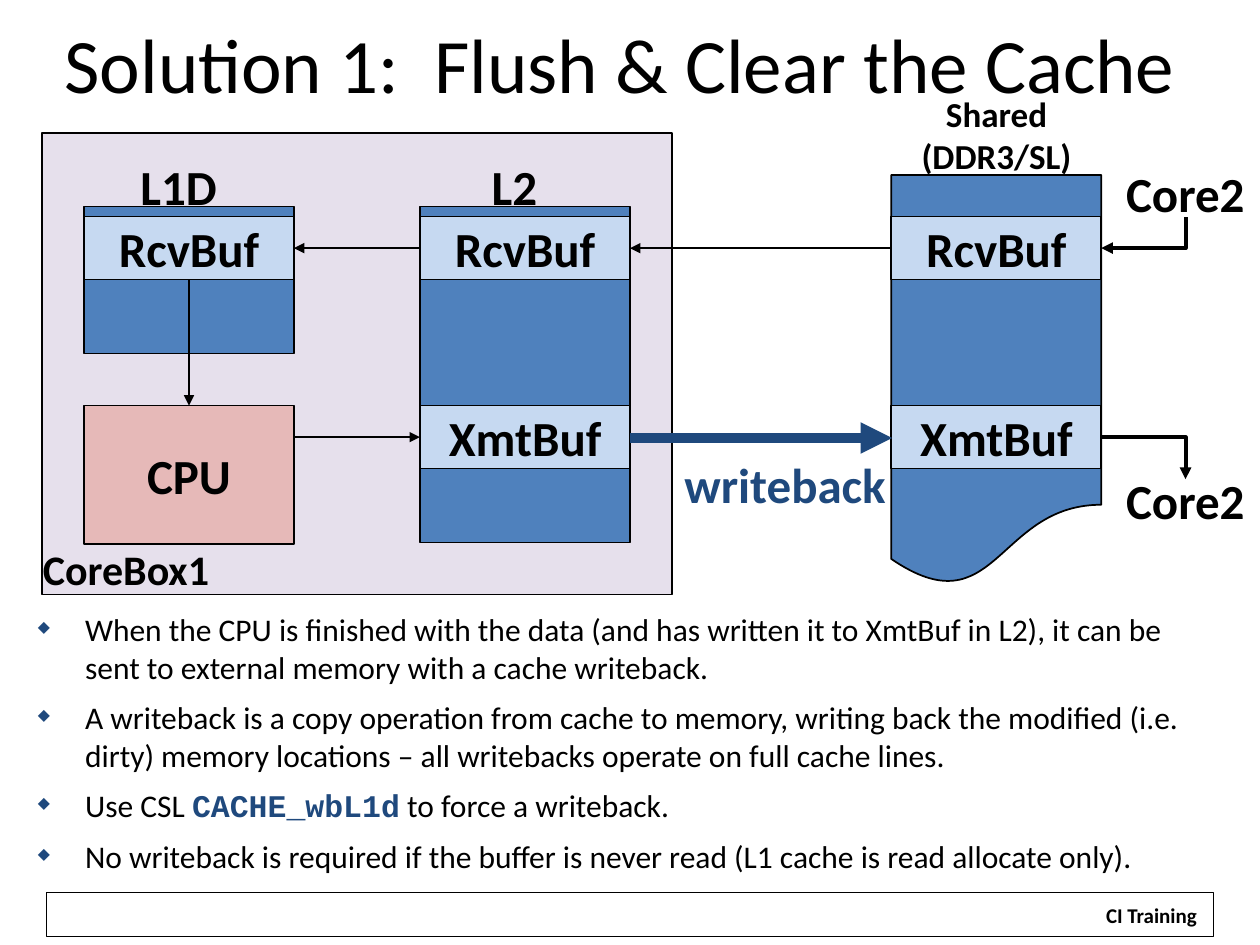
from lxml import etree
from pptx import Presentation
from pptx import util as u
from pptx.dml.color import RGBColor
from pptx.enum import shapes, text
from pptx.oxml.ns import qn

BLACK, NAVY, MEMORY, BUFFER = "000000", "1F497D", "4F81BD", "C6D9F1"
CORE, CPU = "E6E0EC", "E6B9B8"

# Columns and rows of the diagram, in points
L1_X, L2_X, SHARED_X, BLOCK_W = 48, 240, 509.3, 120
RCV_Y, XMT_Y, BUFFER_H = 123.8, 231.8, 36
RCV_MID, XMT_MID = RCV_Y + BUFFER_H / 2, XMT_Y + BUFFER_H / 2
CORE2_X = 677.5

BULLETS = [
    [("When the CPU is finished with the data (and has written it to XmtBuf in L2), "
      "it can be sent to external memory with a cache writeback.", {})],
    [("A writeback is a copy operation from cache to memory, writing back the modified "
      "(i.e. dirty) memory locations – all writebacks operate on full cache lines.", {})],
    [("Use CSL ", {}),
     ("CACHE_wbL1d", {"name": "Courier New", "color": NAVY, "bold": True}),
     (" to force a writeback.", {})],
    [("No writeback is required if the buffer is never read "
      "(L1 cache is read allocate only).", {})],
]


def paint(target, color):
    """Give a fill or a line format a solid colour."""
    fill = getattr(target, "fill", target)
    fill.solid()
    fill.fore_color.rgb = RGBColor.from_string(color)


def add_span(para, words, size, color=BLACK, name="Calibri", bold=False):
    span = para.add_run()
    span.text = words
    values = {"size": u.Pt(size), "name": name, "bold": bold}
    for key, value in values.items():
        setattr(span.font, key, value)
    span.font.color.rgb = RGBColor.from_string(color)


def write(box, lines, size, align=text.PP_ALIGN.CENTER, wrap=False,
          anchor=text.MSO_ANCHOR.MIDDLE, bold=True, color=BLACK):
    """Write one paragraph, with line breaks between its lines."""
    frame = box.text_frame
    for key, value in {"word_wrap": wrap, "vertical_anchor": anchor}.items():
        setattr(frame, key, value)
    para = frame.paragraphs[0]
    para.alignment = align
    for number, words in enumerate(lines.split("\n")):
        if number:
            para.add_line_break()
        add_span(para, words, size, color, bold=bold)


def add_label(page, words, x, y, width, height, size=28, **style):
    box = page.shapes.add_textbox(*map(u.Pt, (x, y, width, height)))
    write(box, words, size, **style)


def add_block(page, x, y, width, height, fill=None, words=None, line=1,
              kind=shapes.MSO_SHAPE.RECTANGLE):
    block = page.shapes.add_shape(kind, *map(u.Pt, (x, y, width, height)))
    block.shadow.inherit = False
    if fill:
        paint(block, fill)
    else:
        block.fill.background()
    paint(block.line, BLACK)
    block.line.width = u.Pt(line)
    if words:
        write(block, words, 28)


def add_arrow(page, start, end, width=1, color=BLACK, arrow="tailEnd", bent=False):
    """Draw an arrow; a bent one runs level first, then turns once."""
    kind = shapes.MSO_CONNECTOR.ELBOW if bent else shapes.MSO_CONNECTOR.STRAIGHT
    connector = page.shapes.add_connector(kind, *map(u.Pt, (*start, *end)))
    paint(connector.line, color)
    connector.line.width = u.Pt(width)
    properties = connector._element.spPr
    if bent:
        properties.find(qn("a:prstGeom")).set("prst", "bentConnector2")
    etree.SubElement(properties.find(qn("a:ln")), qn("a:" + arrow), type="triangle")
    etree.SubElement(properties, qn("a:effectLst"))


def add_bullet(para):
    properties = para._p.get_or_add_pPr()
    properties.set("marL", str(u.Pt(27)))
    properties.set("indent", str(u.Pt(-27)))
    color = etree.SubElement(properties, qn("a:buClr"))
    etree.SubElement(color, qn("a:srgbClr"), val=NAVY)
    etree.SubElement(properties, qn("a:buSzPct"), val="50000")
    etree.SubElement(properties, qn("a:buChar"), char="◆")


def add_notes_list(page, x, y, width, height):
    frame = page.shapes.add_textbox(*map(u.Pt, (x, y, width, height))).text_frame
    frame.word_wrap = True
    for number, spans in enumerate(BULLETS):
        para = frame.add_paragraph() if number else frame.paragraphs[0]
        add_bullet(para)
        if number:
            para.space_before = u.Pt(7.2)
        for words, style in spans:
            add_span(para, words, 18, **style)


def main():
    deck = Presentation()
    deck.slide_width, deck.slide_height = u.Pt(720), u.Pt(540)
    page = deck.slides.add_slide(deck.slide_layouts[6])

    # Footer
    add_block(page, 26.5, 510, 667, 25, line=0.75)
    add_label(page, "CI Training", 624, 512, 68, 22, size=12)

    # Title
    add_label(page, "Solution 1:  Flush & Clear the Cache", 13.5, 6, 682, 60,
              size=44, wrap=True, bold=False)

    # Memories and processor
    add_block(page, SHARED_X, 100, BLOCK_W, 235, MEMORY,
              kind=shapes.MSO_SHAPE.FLOWCHART_DOCUMENT)
    add_block(page, 24, 75.8, 360, 264, CORE)
    add_block(page, L2_X, 118, BLOCK_W, 192, MEMORY)
    add_block(page, L1_X, 118, BLOCK_W, 84, MEMORY)
    add_block(page, L1_X, XMT_Y, BLOCK_W, 79, CPU, "CPU")

    # Buffers
    for x in (L1_X, L2_X, SHARED_X):
        add_block(page, x, RCV_Y, BLOCK_W, BUFFER_H, BUFFER, "RcvBuf")
    for x in (L2_X, SHARED_X):
        add_block(page, x, XMT_Y, BLOCK_W, BUFFER_H, BUFFER, "XmtBuf")

    # Data flow
    l1_right, l2_right, shared_right = (x + BLOCK_W for x in (L1_X, L2_X, SHARED_X))
    l1_mid = L1_X + BLOCK_W / 2
    add_arrow(page, (shared_right, RCV_MID), (CORE2_X, RCV_Y), 2.25,
              arrow="headEnd", bent=True)
    add_arrow(page, (SHARED_X, RCV_MID), (l2_right, RCV_MID), 1.5)
    add_arrow(page, (L2_X, RCV_MID), (l1_right, RCV_MID))
    add_arrow(page, (l1_mid, RCV_Y + BUFFER_H), (l1_mid, XMT_Y))
    add_arrow(page, (l1_right, XMT_MID), (L2_X, XMT_MID))
    add_arrow(page, (shared_right, XMT_MID), (CORE2_X, 273.8), 2.25, bent=True)
    add_arrow(page, (l2_right, XMT_MID + 0.5), (SHARED_X + 0.5, XMT_MID + 0.5), 6, NAVY)

    # Labels
    add_label(page, "L1D", 60, 86, 84, 40)
    add_label(page, "L2", 252, 86, 84, 40)
    add_label(page, "writeback", 384, 256.3, 131, 41, color=NAVY,
              align=text.PP_ALIGN.LEFT, anchor=text.MSO_ANCHOR.TOP)
    for y in (96.5, 272):
        add_label(page, "Core2", 635.3, y, 84, 27.5)
    add_label(page, "Shared\n(DDR3/SL)", 484, 57, 171, 40, size=20, wrap=True)
    add_label(page, "CoreBox1", 12, 311, 120, 27.5, size=24)

    # Explanation
    add_notes_list(page, 14.5, 345, 686, 164)

    deck.save("out.pptx")


if __name__ == "__main__":
    main()
